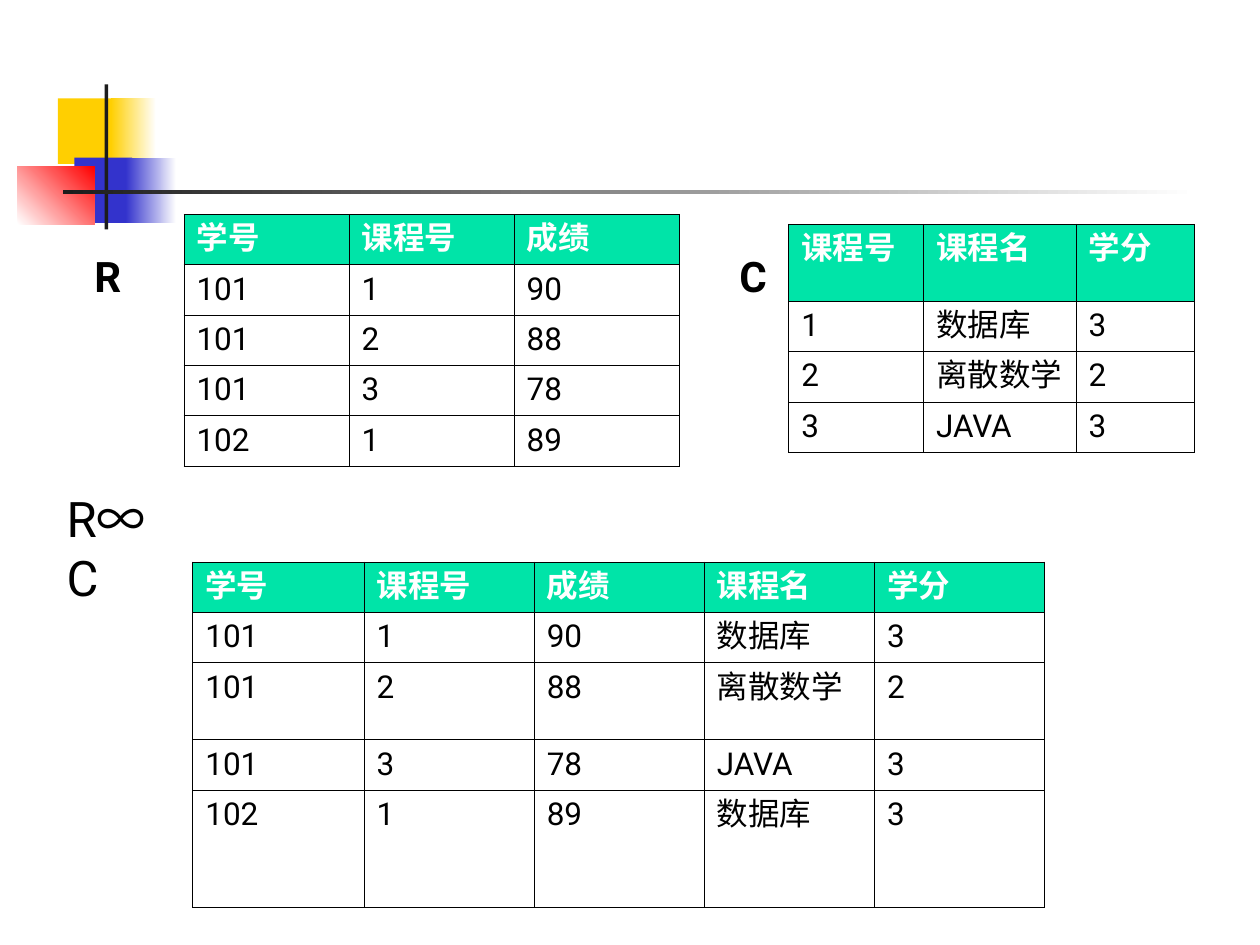
from pptx import Presentation
from pptx.dml.color import RGBColor
from pptx.enum.shapes import MSO_SHAPE
from pptx.enum.text import MSO_AUTO_SIZE
from pptx.oxml.ns import qn
from pptx.util import Inches, Pt
from lxml.etree import SubElement

LATIN, CJK = "Roboto", "Noto Sans CJK SC"
BLACK, WHITE, GREEN = "000000", "FFFFFF", "00E4A8"
YELLOW, BLUE, RED, DARK = "FFCF01", "3333CC", "FF0000", "1C1C1C"

DECORATION = [
    ((0.46, 0.78, 0.48, 0.52), [YELLOW], 0),
    ((0.88, 0.78, 0.36, 0.52), [YELLOW, WHITE], 0),
    ((0.59, 1.25, 0.46, 0.52), [BLUE], 0),
    ((1, 1.25, 0.4, 0.52), [BLUE, WHITE], 0),
    ((0.14, 1.32, 0.61, 0.46), [WHITE, RED], 45),
    ((0.83, 0.67, 0.03, 1.15), [DARK], 0),
    ((0.5, 1.51, 9, 0.03), [DARK, WHITE], 0),
]
SCORES = [
    ["学号", "课程号", "成绩"],
    ["101", "1", "90"],
    ["101", "2", "88"],
    ["101", "3", "78"],
    ["102", "1", "89"],
]
COURSES = [
    ["课程号", "课程名", "学分"],
    ["1", "数据库", "3"],
    ["2", "离散数学", "2"],
    ["3", "JAVA", "3"],
]


def rgb(value):
    """Turn a hex string into a colour."""
    return RGBColor.from_string(value)


def join(left, right):
    """Join scores with courses on the course number."""
    details = {row[0]: row[1:] for row in right}
    return [row + details[row[1]] for row in left]


def add_run(p, text, size, color=BLACK, bold=False, name=LATIN):
    """Add a formatted run, using one font for Latin and East Asian text."""
    r = p.add_run()
    r.text = text
    r.font.color.rgb = rgb(color)
    for key, value in {"size": Pt(size), "bold": bold, "name": name}.items():
        setattr(r.font, key, value)
    SubElement(r.font._element, qn("a:ea"), typeface=name)


def add_block(s, box, colors, angle):
    """Add a rectangle with a solid or gradient fill."""
    sp = s.shapes.add_shape(MSO_SHAPE.RECTANGLE, *map(Inches, box))
    sp.shadow.inherit = False
    sp.line.fill.background()
    if len(colors) == 1:
        sp.fill.solid()
        sp.fill.fore_color.rgb = rgb(colors[0])
        return
    sp.fill.gradient()
    sp.fill.gradient_angle = angle
    for position, (stop, color) in enumerate(zip(sp.fill.gradient_stops, colors)):
        stop.position = position
        stop.color.rgb = rgb(color)


def add_label(s, box, runs, size, bold=False, wrap=False):
    """Add a label made of text and font pairs."""
    tf = s.shapes.add_textbox(*map(Inches, box)).text_frame
    tf.word_wrap = wrap
    tf.auto_size = MSO_AUTO_SIZE.SHAPE_TO_FIT_TEXT
    for text, name in runs:
        add_run(tf.paragraphs[0], text, size, bold=bold, name=name)


def add_borders(cell):
    """Draw thin black lines on all sides of a cell."""
    tcPr = cell._tc.get_or_add_tcPr()
    for side in "LRTB":
        ln = SubElement(tcPr, qn(f"a:ln{side}"), w=str(Pt(0.45)))
        SubElement(SubElement(ln, qn("a:solidFill")), qn("a:srgbClr"), val=BLACK)


def add_grid(s, left, top, widths, heights, rows):
    """Add a bordered table with a green header row."""
    box = (left, top, sum(widths), sum(heights))
    table = s.shapes.add_table(len(rows), len(widths), *map(Inches, box)).table
    table.horz_banding = False
    for column, width in zip(table.columns, widths):
        column.width = Inches(width)
    for i, (height, row) in enumerate(zip(heights, rows)):
        table.rows[i].height = Inches(height)
        for j, text in enumerate(row):
            cell = table.cell(i, j)
            add_borders(cell)
            if i == 0:
                cell.fill.solid()
                cell.fill.fore_color.rgb = rgb(GREEN)
            else:
                cell.fill.background()
            color = BLACK if i else WHITE
            add_run(cell.text_frame.paragraphs[0], text, 18, color, i == 0)


def main():
    """Build the natural join slide."""
    prs = Presentation()
    prs.slide_width, prs.slide_height = Inches(10), Inches(7.5)
    s = prs.slides.add_slide(prs.slide_layouts[6])
    for box, colors, angle in DECORATION:
        add_block(s, box, colors, angle)
    add_grid(s, 1.46, 1.7, [1.31] * 3, [0.4] * 5, SCORES)
    add_grid(s, 6.26, 1.78, [1.07, 1.21, 0.94], [0.61] + [0.4] * 3, COURSES)
    add_label(s, (0.65, 1.94, 0.42, 0.5), [("R", LATIN)], 24, bold=True)
    add_label(s, (5.77, 1.94, 0.41, 0.5), [("C", LATIN)], 24, bold=True)
    add_label(s, (0.43, 3.83, 1.05, 0.57),
              [("R", LATIN), ("∞", CJK), ("C", LATIN)], 28, wrap=True)
    add_grid(s, 1.53, 4.46, [1.36] + [1.35] * 4, [0.4, 0.4, 0.61, 0.4, 0.93],
             join(SCORES, COURSES))
    prs.save("out.pptx")


if __name__ == "__main__":
    main()
